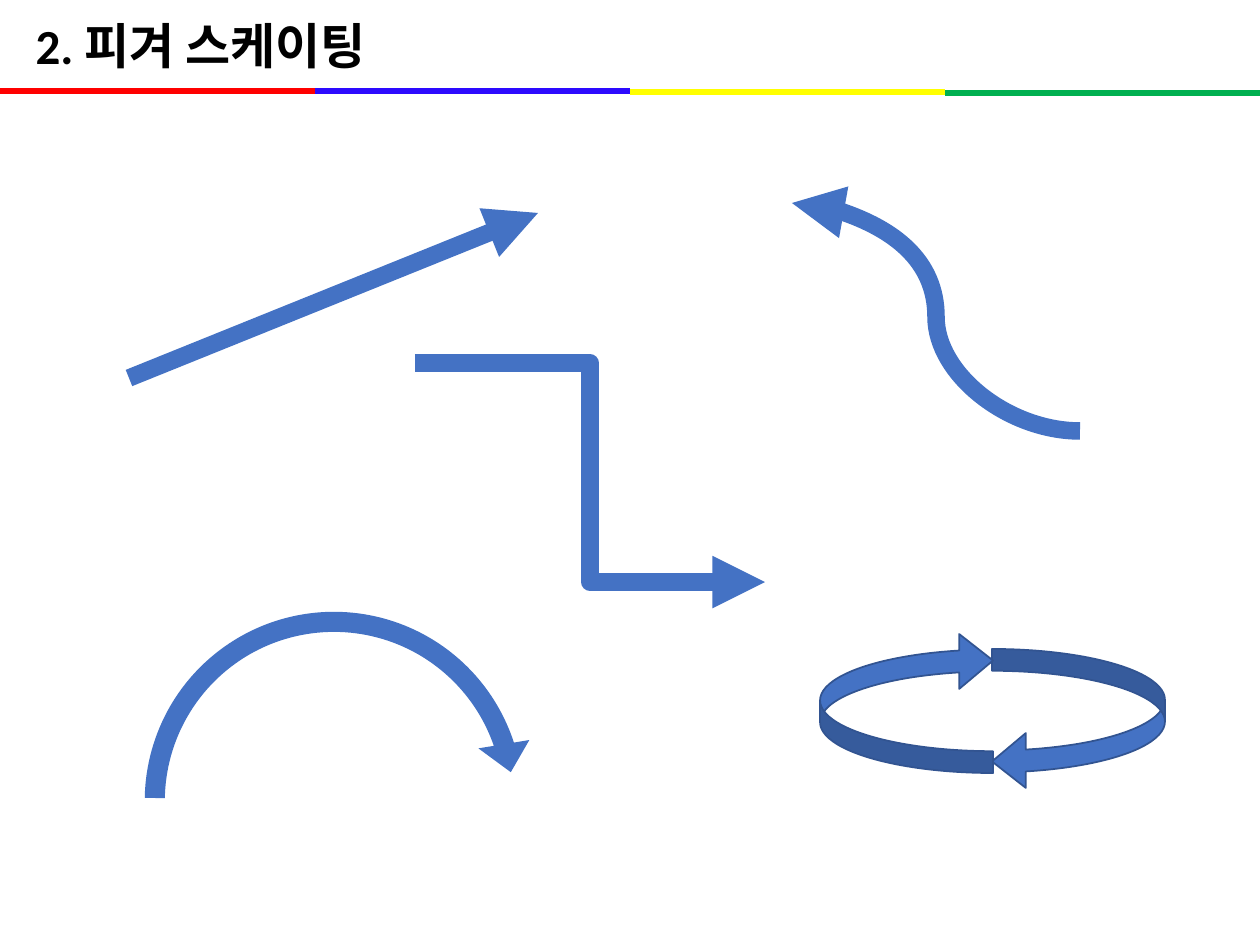
from lxml import etree
from pptx import Presentation, util as u
from pptx.dml.color import RGBColor
from pptx.enum import shapes as s, text as t
from pptx.oxml.ns import qn

PX = u.Inches(1) / 126  # one px in EMU
HUES = {"red": "FF0000", "blue": "2D0AFE", "yellow": "FFFF00",
        "green": "00B050", "arrow": "4472C4", "edge": "325491",
        "ink": "000000"}


def px(*vals):
    return [u.Emu(round(v * PX)) for v in vals]


def hue(name):
    return RGBColor.from_string(HUES[name])


def add_title(slide, words, box):
    title = slide.shapes.title
    title.left, title.top, title.width, title.height = px(*box)
    frame = title.text_frame
    frame.text = words
    frame.word_wrap = True
    frame.auto_size = t.MSO_AUTO_SIZE.NONE
    frame.vertical_anchor = t.MSO_ANCHOR.MIDDLE
    para = frame.paragraphs[0]
    para.alignment = t.PP_ALIGN.LEFT
    para.line_spacing = 1.0
    font = para.font
    font.name, font.size, font.bold = "Calibri", u.Pt(28), True
    font.color.rgb = hue("ink")


def add_line(slide, kind, ends, color, width, head=False, turn=0):
    line = slide.shapes.add_connector(kind, *px(*ends))
    line.line.color.rgb = hue(color)
    line.line.width = u.Pt(width)
    props = line._element.spPr
    if turn:
        props.find(qn("a:xfrm")).set("rot", str(turn * 60000))
    if head:
        etree.SubElement(props.find(qn("a:ln")), qn("a:tailEnd"),
                         type="triangle")
    etree.SubElement(props, qn("a:effectLst"))


def add_arrow(slide, kind, box, adjs, edge=None, turn=0):
    arrow = slide.shapes.add_shape(kind, *px(*box))
    arrow.shadow.inherit = False
    arrow.rotation = turn
    for i, adj in enumerate(adjs):
        arrow.adjustments[i] = adj
    arrow.fill.solid()
    arrow.fill.fore_color.rgb = hue("arrow")
    if edge:
        arrow.line.color.rgb = hue(edge)
        arrow.line.width = u.Pt(1)
    else:
        arrow.line.fill.background()


def main():
    deck = Presentation()
    deck.slide_width, deck.slide_height = u.Inches(10), u.Inches(7.5)
    slide = deck.slides.add_slide(deck.slide_layouts[5])
    link, shape = s.MSO_CONNECTOR, s.MSO_SHAPE

    # Four-colour rule under the title
    bars = [("red", 91), ("blue", 91), ("yellow", 92), ("green", 93)]
    for i, (color, y) in enumerate(bars):
        add_line(slide, link.STRAIGHT, (i * 315, y, (i + 1) * 315, y),
                 color, 3)

    add_title(slide, "2. 피겨 스케이팅", (23, 9, 622, 72))

    # Straight, bent and curved moves
    moves = [(link.STRAIGHT, (129, 378, 538, 213), 0),
             (link.ELBOW, (415, 363, 765, 582), 0),
             (link.CURVE, (792, 203, 1080, 431), 180)]
    for kind, ends, turn in moves:
        add_line(slide, kind, ends, "arrow", 10, head=True, turn=turn)

    # Jump arc
    add_arrow(slide, shape.CIRCULAR_ARROW, (129, 596, 410, 410),
              (0.049, 5.539, 204.911, 108.577, 0.063))

    # Spin: two halves of one ring
    for x, y, turn in [(992, 649, 0), (820, 633, 180)]:
        add_arrow(slide, shape.CURVED_LEFT_ARROW, (x, y, 173, 140),
                  (0.156, 0.392, 0.242), "edge", turn)

    deck.save("out.pptx")


if __name__ == "__main__":
    main()
